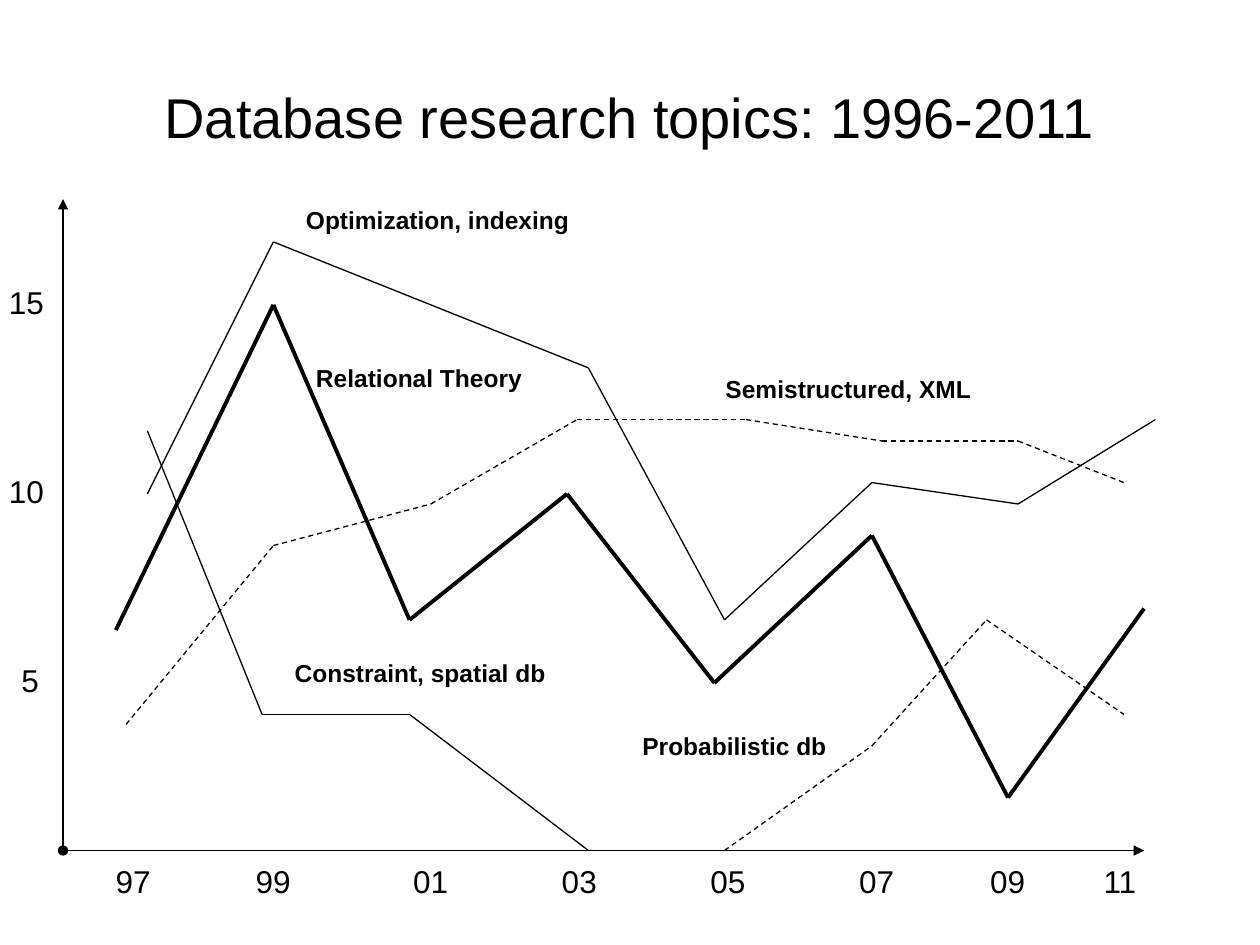
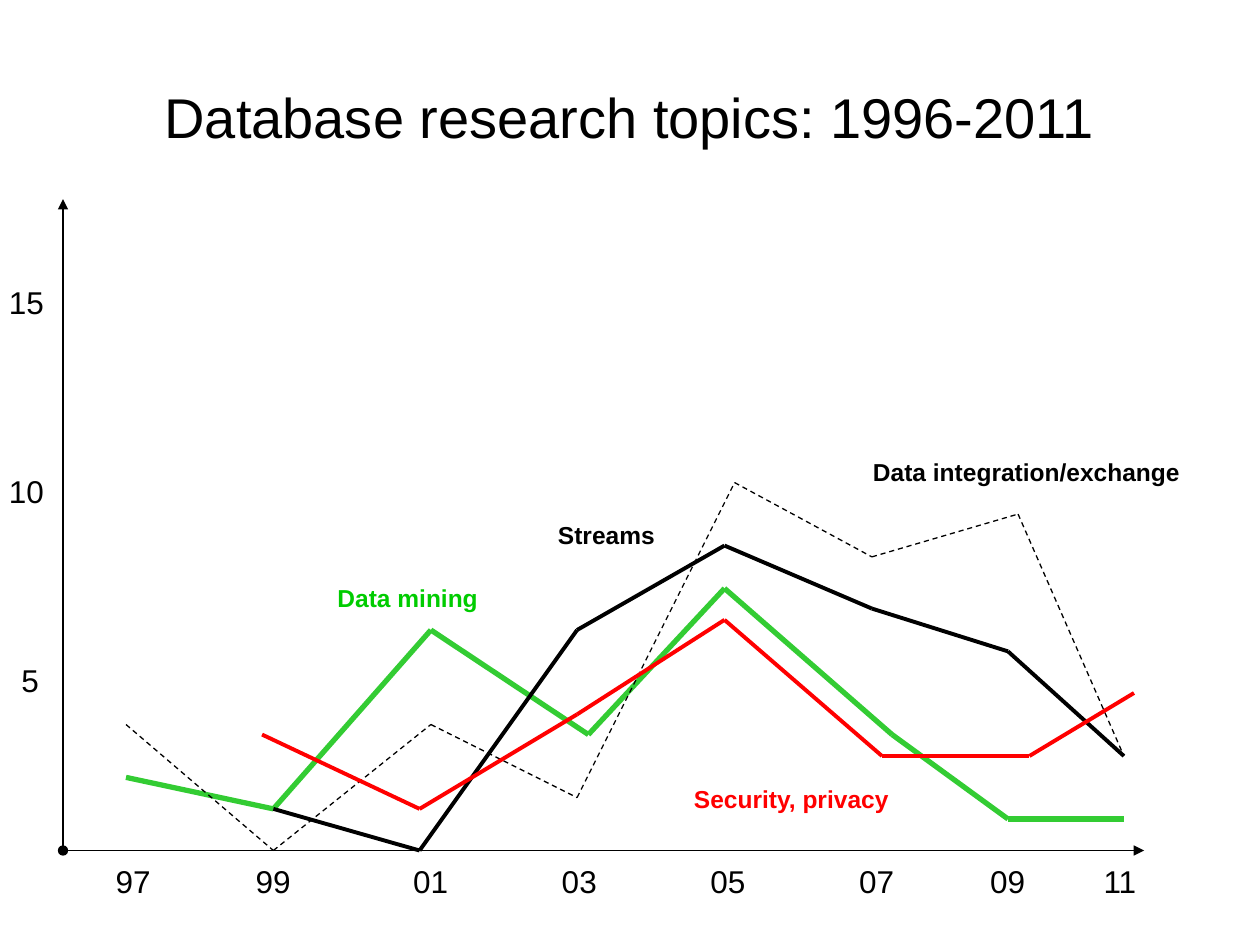
from dataclasses import dataclass

import pptx
import pptx.dml.color
import pptx.enum.dml
import pptx.enum.shapes
import pptx.enum.text
import pptx.oxml.ns
import pptx.util
from lxml import etree

Inches = pptx.util.Inches
Pt = pptx.util.Pt
qn = pptx.oxml.ns.qn
Align = pptx.enum.text.PP_ALIGN
AutoSize = pptx.enum.text.MSO_AUTO_SIZE


@dataclass(frozen=True)
class Theme:
    font: str = "Arial"
    ink: str = "000000"
    paper: str = "FFFFFF"
    mining_line: str = "33CC33"
    mining_text: str = "00CC00"
    security: str = "FF0000"
    title_size: int = 32
    tick_size: int = 18
    label_size: int = 14
    thin: float = 0.75
    bold: float = 2.25
    heavy: float = 3


THEME = Theme()
TITLE = "Database research topics: 1996-2011"
ORIGIN = (0.5, 6.75)
AXIS_TOP = (0.5, 1.58)
AXIS_RIGHT = (9.08, 6.75)
YEARS = ["97", "99", "01", "03", "05", "07", "09", "11"]
YEAR_TABS = [1.11, 2.36, 3.54, 4.72, 5.9, 6.94, 7.84]
PAPERS_TICKS = {5: 0.17, 10: 0.07, 15: 0.07}  # value: left edge
TICK_STEP = 0.3  # inches for one paper


def rgb(code):
    return pptx.dml.color.RGBColor.from_string(code)


class TopicSlides:
    """Holds the theme and the slide being drawn."""

    def __init__(self, deck, theme):
        self.deck = deck
        self.theme = theme
        self.slide = None

    def new_slide(self):
        self.slide = self.deck.slides.add_slide(self.deck.slide_layouts[6])
        background = self.slide.background.fill
        background.solid()
        background.fore_color.rgb = rgb(self.theme.paper)

    def text(self, words, box, size, color=None, bold=False, wrap=False,
             align=Align.LEFT, tabs=(), side_inset=0.1, fill=None,
             anchor=pptx.enum.text.MSO_ANCHOR.TOP):
        holder = self.slide.shapes.add_textbox(*map(Inches, box))
        if fill:
            holder.fill.solid()
            holder.fill.fore_color.rgb = rgb(fill)
        frame = holder.text_frame
        frame_format = {
            "word_wrap": wrap, "vertical_anchor": anchor,
            "auto_size": AutoSize.NONE if wrap else AutoSize.SHAPE_TO_FIT_TEXT,
            "margin_left": Inches(side_inset),
            "margin_right": Inches(side_inset),
            "margin_top": Inches(0.05), "margin_bottom": Inches(0.05),
        }
        for name, value in frame_format.items():
            setattr(frame, name, value)
        paragraph = frame.paragraphs[0]
        paragraph.text = words
        paragraph.alignment = align
        if tabs:
            properties = paragraph._p.get_or_add_pPr()
            stops = etree.SubElement(properties, qn("a:tabLst"))
            for stop in tabs:
                etree.SubElement(stops, qn("a:tab"),
                                 pos=str(Inches(stop)), algn="l")
        font = paragraph.runs[0].font
        font_format = {"name": self.theme.font, "size": Pt(size), "bold": bold}
        for name, value in font_format.items():
            setattr(font, name, value)
        font.color.rgb = rgb(color or self.theme.ink)

    def line(self, start, end, color=None, width=None, dashed=False, ends=None):
        segment = self.slide.shapes.add_connector(
            pptx.enum.shapes.MSO_CONNECTOR.STRAIGHT,
            *map(Inches, (*start, *end)))
        segment.line.color.rgb = rgb(color or self.theme.ink)
        segment.line.width = Pt(width or self.theme.thin)
        if dashed:
            segment.line.dash_style = pptx.enum.dml.MSO_LINE.DASH
        outline = segment.line._get_or_add_ln()
        for tag, kind in (ends or {}).items():
            etree.SubElement(outline, qn("a:" + tag), type=kind)
        etree.SubElement(segment._element.spPr, qn("a:effectLst"))

    def trend(self, points, **style):
        for start, end in zip(points, points[1:]):
            self.line(start, end, **style)

    def label(self, words, left, top, width, color=None, fill=None):
        self.text(words, (left, top, width, 0.34), self.theme.label_size,
                  color=color, bold=True, fill=fill)

    def chart_frame(self):
        """Title, axes and tick labels common to every slide."""
        self.text(TITLE, (0.5, 0.3, 9, 1.25), self.theme.title_size, wrap=True,
                  align=Align.CENTER,
                  anchor=pptx.enum.text.MSO_ANCHOR.MIDDLE)
        self.line(AXIS_TOP, ORIGIN, ends={"headEnd": "triangle"})
        self.line(ORIGIN, AXIS_RIGHT,
                  ends={"headEnd": "oval", "tailEnd": "triangle"})
        self.text("\t".join(YEARS), (0.82, 6.79, 8.4, 0.4),
                  self.theme.tick_size, wrap=True, tabs=YEAR_TABS)
        for papers, left in PAPERS_TICKS.items():
            top = 6.7 - TICK_STEP * papers
            self.text(str(papers), (left, top, 0.14 * len(str(papers)), 0.4),
                      self.theme.tick_size, side_inset=0)


# Topic curves, as (x, y) points in inches
OPTIMIZATION = [(1.17, 3.92), (2.17, 1.92), (3.42, 2.42), (4.67, 2.92),
                (5.75, 4.92), (6.92, 3.83), (8.08, 4), (9.17, 3.33)]
CONSTRAINT = [(1.17, 3.42), (2.08, 5.67), (3.25, 5.67), (4.67, 6.75)]
RELATIONAL = [(0.92, 5), (2.17, 2.42), (3.25, 4.92), (4.5, 3.92),
              (5.67, 5.42), (6.92, 4.25), (8, 6.33), (9.08, 4.83)]
SEMISTRUCTURED = [(1, 5.75), (2.17, 4.33), (3.42, 4), (4.58, 3.33),
                  (5.92, 3.33), (7, 3.5), (8.08, 3.5), (8.92, 3.83)]
PROBABILISTIC = [(5.75, 6.75), (6.92, 5.92), (7.83, 4.92), (8.92, 5.67)]
MINING = [(1, 6.17), (2.17, 6.42), (3.42, 5), (4.67, 5.83),
          (5.75, 4.67), (7.08, 5.83), (8, 6.5), (8.92, 6.5)]
INTEGRATION = [(1, 5.75), (2.17, 6.75), (3.42, 5.75), (4.58, 6.33),
               (5.83, 3.83), (6.92, 4.42), (8.08, 4.08), (8.92, 6)]
STREAMS = [(2.17, 6.42), (3.33, 6.75), (4.58, 5), (5.75, 4.33),
           (6.92, 4.83), (8, 5.17), (8.92, 6)]
SECURITY = [(2.08, 5.83), (3.33, 6.42), (4.58, 5.67), (5.75, 4.92),
            (7, 6), (8.17, 6), (9, 5.5)]


def draw_core_topics(slides):
    slides.new_slide()
    slides.chart_frame()
    slides.trend(OPTIMIZATION)
    slides.trend(CONSTRAINT)
    slides.trend(RELATIONAL, width=THEME.bold)
    slides.trend(SEMISTRUCTURED, dashed=True)
    slides.trend(PROBABILISTIC, dashed=True)
    slides.label("Relational Theory", 2.41, 2.83, 1.86)
    slides.label("Optimization, indexing", 2.33, 1.58, 2.3)
    slides.label("Constraint, spatial db", 2.24, 5.17, 2.2)
    slides.label("Semistructured, XML", 5.66, 2.92, 2.16)
    slides.label("Probabilistic db", 5, 5.75, 1.67)


def draw_newer_topics(slides):
    slides.new_slide()
    slides.chart_frame()
    slides.trend(MINING, color=THEME.mining_line, width=THEME.heavy)
    slides.label("Data mining", 2.58, 4.58, 1.34,
                 color=THEME.mining_text, fill=THEME.paper)
    slides.trend(INTEGRATION, dashed=True)
    slides.label("Data integration/exchange", 6.83, 3.58, 2.65)
    slides.trend(STREAMS, width=THEME.bold)
    slides.label("Streams", 4.33, 4.08, 0.98)
    slides.trend(SECURITY, color=THEME.security, width=THEME.bold)
    slides.label("Security, privacy", 5.41, 6.17, 1.77, color=THEME.security)


def main():
    deck = pptx.Presentation()
    deck.slide_width, deck.slide_height = Inches(10), Inches(7.5)
    slides = TopicSlides(deck, THEME)
    draw_core_topics(slides)
    draw_newer_topics(slides)
    deck.save("out.pptx")


if __name__ == "__main__":
    main()
